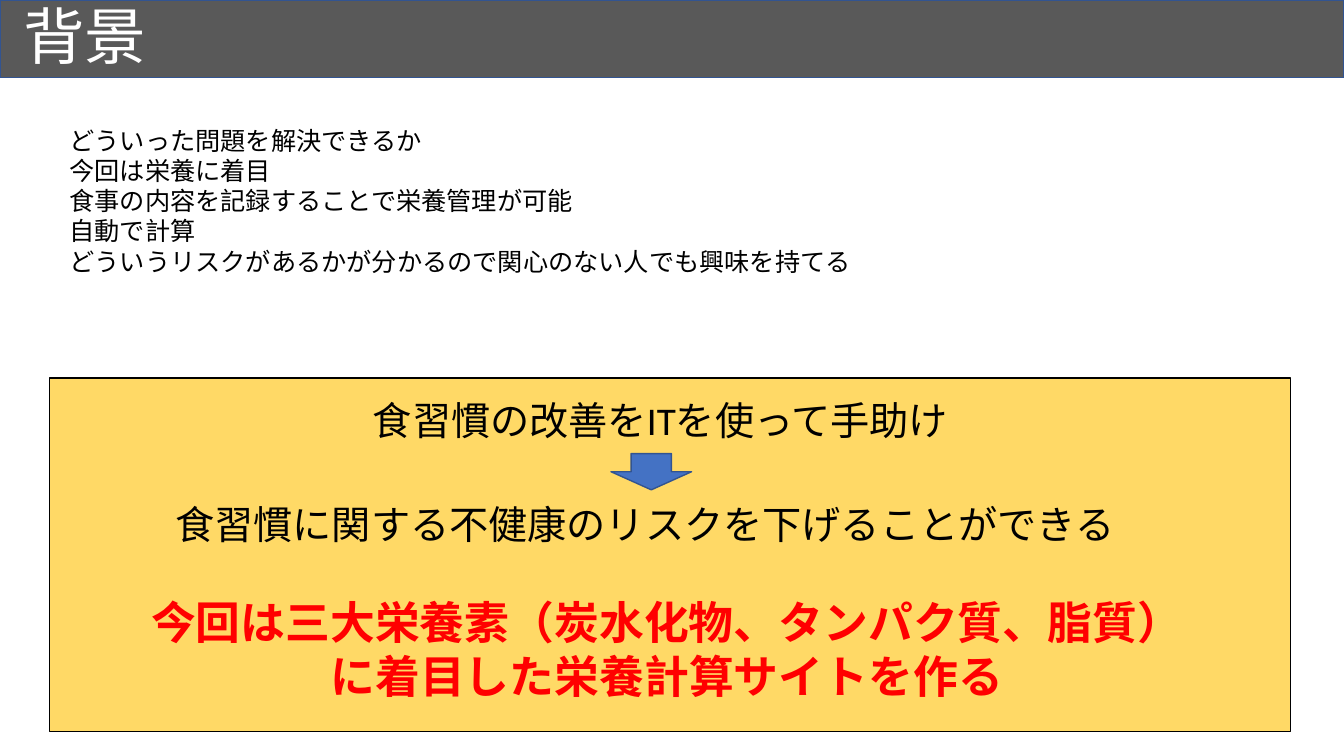
from pptx import Presentation
from pptx.dml.color import RGBColor
from pptx.enum import shapes, text
from pptx.util import Inches, Pt


def paint(fmt, color):
    fmt.solid()
    fmt.fore_color.rgb = RGBColor.from_string(color)


def write(box, lines, size, color, bold=False, align=text.PP_ALIGN.LEFT):
    frame = box.text_frame
    frame.text = "\n".join(lines)
    for para in frame.paragraphs:
        para.alignment = align
        font = para.font
        font.name, font.size, font.bold = "Calibri", Pt(size), bold
        paint(font.fill, color)


prs = Presentation()
prs.slide_width, prs.slide_height = Inches(13.33), Inches(7.5)
slide = prs.slides.add_slide(prs.slide_layouts[5])

# Title
title = slide.shapes.title
title.left, title.top = Inches(0.13), Inches(0.01)
title.width, title.height = Inches(13.01), Inches(0.77)
write(title, ["背景"], 44, "FFFFFF")
title.text_frame.auto_size = text.MSO_AUTO_SIZE.NONE
title.text_frame.vertical_anchor = text.MSO_ANCHOR.MIDDLE
title.text_frame.paragraphs[0].line_spacing = 0.9

# Title bar, yellow panel and arrow
kind = shapes.MSO_SHAPE
forms = [
    (kind.RECTANGLE, (0, 0, 13.33, 0.77), "595959", "325491"),
    (kind.RECTANGLE, (0.49, 3.75, 12.31, 3.51), "FFD966", "000000"),
    (kind.DOWN_ARROW, (6.06, 4.5, 0.8, 0.36), "4472C4", "325491"),
]
drawn = []
for form, place, fill, line in forms:
    shape = slide.shapes.add_shape(form, *map(Inches, place))
    shape.shadow.inherit = False
    paint(shape.fill, fill)
    paint(shape.line.fill, line)
    shape.line.width = Pt(1)
    drawn.append(shape)
title.element.addprevious(drawn[0].element)  # bar goes behind the title

# Texts
left, center = text.PP_ALIGN.LEFT, text.PP_ALIGN.CENTER
points = [
    "どういった問題を解決できるか",
    "今回は栄養に着目",
    "食事の内容を記録することで栄養管理が可能",
    "自動で計算",
    "どういうリスクがあるかが分かるので関心のない人でも興味を持てる",
]
goal = ["今回は三大栄養素（炭水化物、タンパク質、脂質）", "に着目した栄養計算サイトを作る"]
notes = [
    ((0.59, 1.19, 8.03, 1.92), points, 18, "000000", False, left, False),
    ((3.6, 3.88, 6.09, 0.59), ["食習慣の改善をITを使って手助け"], 28, "000000", False, left, True),
    ((1.64, 4.91, 9.65, 0.59), ["食習慣に関する不健康のリスクを下げることができる"], 28, "000000", False, left, True),
    ((1.39, 5.85, 10.45, 1.18), goal, 32, "FF0000", True, center, True),
]
for place, lines, size, color, bold, align, wrap in notes:
    box = slide.shapes.add_textbox(*map(Inches, place))
    box.text_frame.word_wrap = wrap
    write(box, lines, size, color, bold, align)

prs.save("out.pptx")
